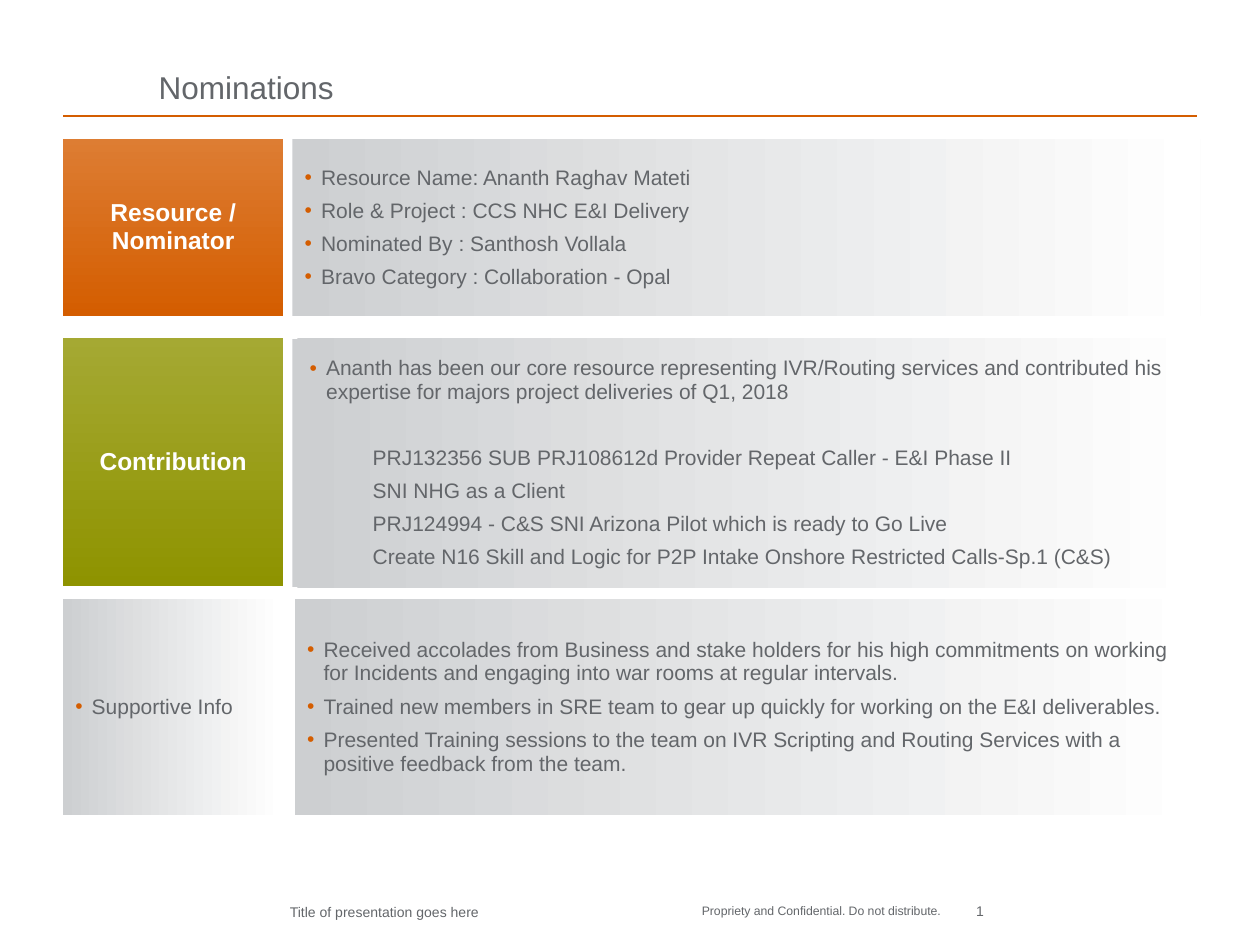
import lxml.etree
import pptx
import pptx.dml.color
import pptx.enum.shapes
import pptx.enum.text
import pptx.oxml.ns
import pptx.util

Inches = pptx.util.Inches
Pt = pptx.util.Pt
qn = pptx.oxml.ns.qn
ALIGN = pptx.enum.text.PP_ALIGN
ANCHOR = pptx.enum.text.MSO_ANCHOR

GRAY, ORANGE, WHITE = "63666A", "D45D00", "FFFFFF"
FADE = ("CDCFD1", WHITE)


def color(value):
    return pptx.dml.color.RGBColor.from_string(value)


def write(paragraph, text, size, value=GRAY, bold=False):
    run = paragraph.add_run()
    run.text = text
    run.font.name = "Arial"
    run.font.size = Pt(size)
    run.font.bold = bold
    run.font.color.rgb = color(value)


presentation = pptx.Presentation()
presentation.slide_width = Inches(10)
presentation.slide_height = Inches(7.5)
slide = presentation.slides.add_slide(presentation.slide_layouts[6])

# Rule under the title
rule = slide.shapes.add_connector(
    pptx.enum.shapes.MSO_CONNECTOR.STRAIGHT,
    Inches(0.5), Inches(0.92), Inches(9.5), Inches(0.92))
rule.line.color.rgb = color(ORANGE)
rule.line.width = Pt(1)
lxml.etree.SubElement(rule._element.spPr, qn("a:effectLst"))

# Title and footer: text, box, size, alignment, anchor, wrap
labels = [
    ("Nominations", (1.26, 0.17, 8.74, 0.67), 18, ALIGN.LEFT, ANCHOR.BOTTOM, True),
    ("Title of presentation goes here", (2.3, 7.17, 3.2, 0.17), 8, ALIGN.LEFT, ANCHOR.TOP, True),
    ("Propriety and Confidential. Do not distribute.", (5.57, 7.17, 2.08, 0.25), 7,
     ALIGN.LEFT, ANCHOR.TOP, False),
    ("1", (7.48, 7.16, 0.33, 0.17), 8, ALIGN.RIGHT, ANCHOR.TOP, True),
]
for text, box, size, alignment, anchor, wrap in labels:
    frame = slide.shapes.add_textbox(*map(Inches, box)).text_frame
    frame.margin_left = frame.margin_top = frame.margin_right = frame.margin_bottom = 0
    frame.word_wrap = wrap
    frame.vertical_anchor = anchor
    frame.paragraphs[0].alignment = alignment
    write(frame.paragraphs[0], text, size)

# Panels: box, gradient, angle, paragraphs as (style, text)
panels = [
    ((2.32, 1.1, 7.21, 1.41), FADE, 0, [
        ("bullet", "Resource Name: Ananth Raghav Mateti"),
        ("bullet", "Role & Project : CCS NHC E&I Delivery"),
        ("bullet", "Nominated By : Santhosh Vollala"),
        ("bullet", "Bravo Category : Collaboration - Opal")]),
    ((0.5, 1.1, 1.75, 1.41), ("DD7D33", ORANGE), 270, [("heading", "Resource / Nominator")]),
    ((2.32, 2.69, 7.21, 1.97), FADE, 0, []),
    ((0.5, 2.68, 1.75, 1.97), ("A5A933", "8E9300"), 270, [("heading", "Contribution")]),
    ((2.36, 2.68, 7.18, 1.99), FADE, 0, [
        ("bullet", "Ananth has been our core resource representing IVR/Routing services "
                   "and contributed his expertise for majors project deliveries of Q1, 2018"),
        ("first project", "PRJ132356 SUB PRJ108612d Provider Repeat Caller - E&I Phase II"),
        ("project", "SNI NHG as a Client"),
        ("project", "PRJ124994 - C&S SNI Arizona Pilot which is ready to Go Live"),
        ("project", "Create N16 Skill and Logic for P2P Intake Onshore Restricted "
                    "Calls-Sp.1 (C&S)")]),
    ((2.34, 4.75, 7.17, 1.72), FADE, 0, [
        ("bullet", "Received accolades from Business and stake holders for his high commitments "
                   "on working for Incidents and engaging into war rooms at regular intervals."),
        ("bullet", "Trained new members in SRE team to gear up quickly for working on the "
                   "E&I deliverables."),
        ("bullet", "Presented Training sessions to the team on IVR Scripting and Routing "
                   "Services with a positive feedback from the team.")]),
    ((0.5, 4.75, 1.74, 1.72), FADE, 0, [("bullet", "Supportive Info")]),
]
for box, gradient, angle, lines in panels:
    panel = slide.shapes.add_shape(
        pptx.enum.shapes.MSO_SHAPE.RECTANGLE, *map(Inches, box))
    panel.shadow.inherit = False
    panel.line.fill.background()
    panel.fill.gradient()
    panel.fill.gradient_angle = angle
    for stop, value in zip(panel.fill.gradient_stops, gradient):
        stop.color.rgb = color(value)

    frame = panel.text_frame
    frame.word_wrap = True
    frame.vertical_anchor = ANCHOR.MIDDLE
    margin = Inches(0 if gradient != FADE else 0.1)
    frame.margin_left = frame.margin_top = frame.margin_bottom = margin
    frame.margin_right = 0

    for index, (style, text) in enumerate(lines):
        paragraph = frame.add_paragraph() if index else frame.paragraphs[0]
        paragraph.line_spacing = 0.95
        if style == "heading":
            paragraph.alignment = ALIGN.CENTER
            write(paragraph, text, 14, WHITE, True)
            continue
        paragraph.alignment = ALIGN.LEFT
        paragraph.space_after = Pt(5.2)
        if style == "first project":
            paragraph.space_before = Pt(18.9)
        properties = paragraph._p.get_or_add_pPr()
        if style == "bullet":
            properties.set("marL", str(Inches(0.13)))
            properties.set("indent", str(Inches(-0.13)))
            bullet_color = lxml.etree.SubElement(properties, qn("a:buClr"))
            lxml.etree.SubElement(bullet_color, qn("a:srgbClr"), val=ORANGE)
            lxml.etree.SubElement(properties, qn("a:buFont"), typeface="Arial")
            lxml.etree.SubElement(properties, qn("a:buChar"), char="•")
        else:
            paragraph.level = 1
            properties.set("marL", str(Inches(0.5)))
            properties.set("indent", "0")
        write(paragraph, text, 12)

presentation.save("out.pptx")
